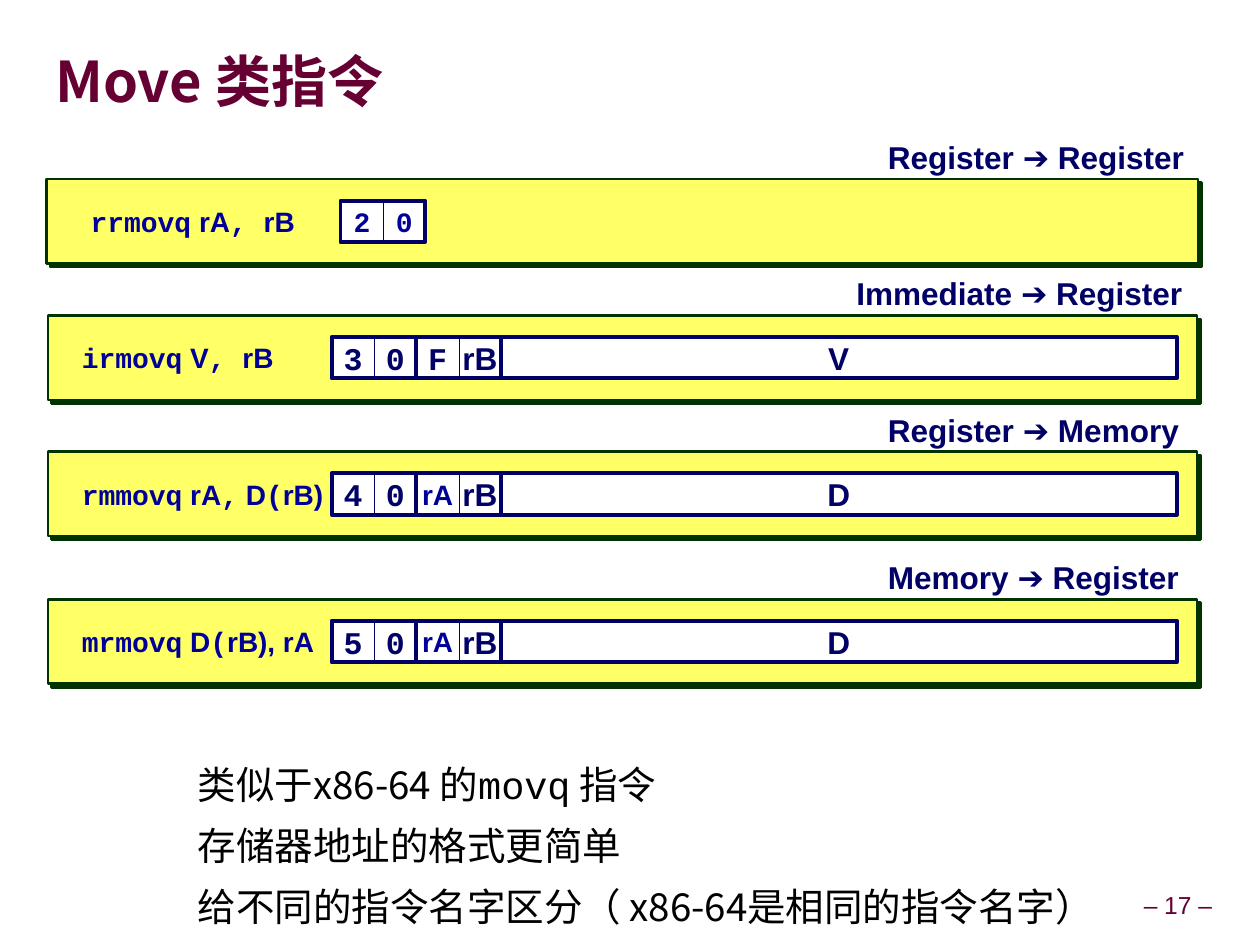
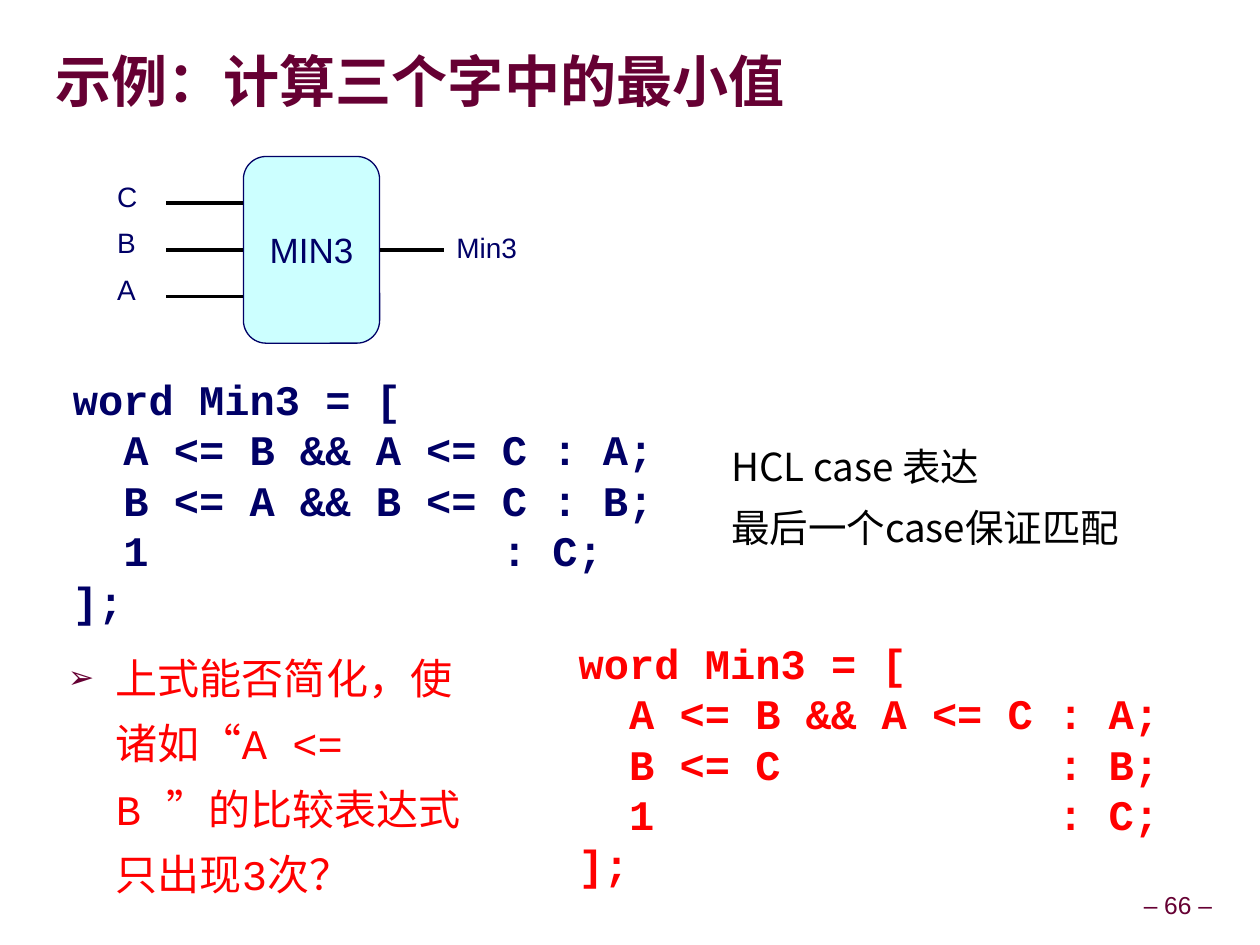
from lxml.etree import SubElement
from pptx import Presentation
from pptx.dml.color import RGBColor
from pptx.enum.shapes import MSO_CONNECTOR, MSO_SHAPE
from pptx.enum.text import MSO_ANCHOR, MSO_AUTO_SIZE, PP_ALIGN
from pptx.oxml.ns import qn
from pptx.util import Emu, Pt

PX = 9144  # 100 px to the inch
SANS, MONO, CJK = "Arial", "Courier New", "Noto Sans CJK SC"
MAROON, NAVY, BLUE, GREEN = "660033", "000066", "000099", "003300"
YELLOW, CYAN, WHITE, BLACK, RED = "FFFF66", "CCFFFF", "FFFFFF", "000000", "FF0000"
CELL = 33
BYTE = 67
OPCODE = dict(font=MONO, size=18, color=NAVY)
OPERAND = dict(font=SANS, size=18, color=NAVY)
SMALL_OPCODE = dict(font=MONO, size=16, color=BLUE)
SMALL_OPERAND = dict(font=SANS, size=16, color=BLUE)
BODY = dict(font=CJK, size=22, color=BLACK, spacing=1.2, before=3, indent=55)


def px(n):
    return Emu(int(n * PX))


def rgb(value):
    return RGBColor.from_string(value)


def add_bullet(p, char, color, percent):
    pPr = p._p.get_or_add_pPr()
    pPr.set("indent", str(-int(pPr.get("marL"))))
    SubElement(SubElement(pPr, qn("a:buClr")), qn("a:srgbClr"), val=color)
    SubElement(pPr, qn("a:buSzPct"), val=str(percent * 1000))
    SubElement(pPr, qn("a:buFont"), typeface=SANS)
    SubElement(pPr, qn("a:buChar"), char=char)


def add_run(p, text, font, size, color, bold):
    r = p.add_run()
    r.text = text
    r.font.size, r.font.bold = Pt(size), bold
    r.font.color.rgb = rgb(color)
    r.font.name = font
    SubElement(r._r.get_or_add_rPr(), qn("a:ea"), typeface=CJK)


def write(shape, paragraphs, font=SANS, size=16, color=NAVY, bold=False,
          align=PP_ALIGN.LEFT, anchor=MSO_ANCHOR.TOP, inset=(10, 5), wrap=False,
          grow=False, spacing=None, before=None, indent=0, bullet=None):
    """Fill a shape; a paragraph is a string or a list of (text, font) runs."""
    tf = shape.text_frame
    tf.word_wrap = wrap
    tf.auto_size = MSO_AUTO_SIZE.SHAPE_TO_FIT_TEXT if grow else MSO_AUTO_SIZE.NONE
    tf.vertical_anchor = anchor
    tf.margin_left = tf.margin_right = px(inset[0])
    tf.margin_top = tf.margin_bottom = px(inset[1])
    if isinstance(paragraphs, str):
        paragraphs = [paragraphs]
    for i, runs in enumerate(paragraphs):
        p = tf.add_paragraph() if i else tf.paragraphs[0]
        p.alignment = align
        if spacing:
            p.line_spacing = spacing
        if before:
            p.space_before = Pt(before)
        if indent:
            p._p.get_or_add_pPr().set("marL", str(px(indent)))
        if bullet:
            add_bullet(p, bullet, MAROON, 75)
        for text, face in [(runs, font)] if isinstance(runs, str) else runs:
            add_run(p, text, face, size, color, bold)


def text_box(s, x, y, w, h, paragraphs, **fmt):
    write(s.shapes.add_textbox(px(x), px(y), px(w), px(h)), paragraphs, **fmt)


def box(s, x, y, w, h, fill, line, width, kind=MSO_SHAPE.RECTANGLE):
    sp = s.shapes.add_shape(kind, px(x), px(y), px(w), px(h))
    sp.shadow.inherit = False
    if fill:
        sp.fill.solid()
        sp.fill.fore_color.rgb = rgb(fill)
    else:
        sp.fill.background()
    sp.line.color.rgb = rgb(line)
    sp.line.width = Pt(width)
    return sp


def hard_shadow(sp, color):
    effects = sp._element.spPr.find(qn("a:effectLst"))
    shadow = SubElement(effects, qn("a:outerShdw"), blurRad="0", dist=str(Pt(2.8)),
                        dir="2700000", algn="ctr", rotWithShape="0")
    SubElement(shadow, qn("a:srgbClr"), val=color)


def wire(s, x1, x2, y):
    c = s.shapes.add_connector(MSO_CONNECTOR.STRAIGHT, px(x1), px(y), px(x2), px(y))
    c.line.color.rgb = rgb(BLACK)
    c.line.width = Pt(2.25)
    SubElement(c._element.spPr, qn("a:effectLst"))
    return c


def new_slide(prs, title, number):
    s = prs.slides.add_slide(prs.slide_layouts[6])
    text_box(s, 44, 27, 930, 81, title, font=CJK, size=32, color=MAROON, bold=True,
             anchor=MSO_ANCHOR.MIDDLE, inset=(0, 0), wrap=True, spacing=0.87)
    text_box(s, 901, 703, 66, 31, f"– {number} –", size=14, color=MAROON,
             align=PP_ALIGN.CENTER, anchor=MSO_ANCHOR.MIDDLE, inset=(5, 5),
             grow=True, spacing=0.9)
    return s


def field(s, x, y, w, text, fmt, line=0.5):
    write(box(s, x, y, w, CELL, WHITE, NAVY, line), text, bold=True,
          align=PP_ALIGN.CENTER, anchor=MSO_ANCHOR.MIDDLE, **fmt)


def byte(s, x, y, high, low):
    """Two touching half-byte fields in one heavy frame."""
    field(s, x, y, BYTE - CELL, *high)
    field(s, x + BYTE - CELL, y, CELL, *low)
    box(s, x, y, BYTE, CELL, None, NAVY, 2.25)


def instruction(s, x, y, w, caption, caption_x, caption_w, syntax, syntax_dx,
                bytes_dx, encoding, constant=None):
    """One yellow band: caption above, syntax at the left, encoding in fields."""
    hard_shadow(box(s, x, y, w, 67, YELLOW, GREEN, 1.5), GREEN)
    text_box(s, caption_x, y - 34, caption_w, 38, caption, size=18, bold=True,
             inset=(5, 5), grow=True, spacing=0.9)
    top = y + 17
    text_box(s, x + syntax_dx, top, 208, CELL, [syntax], color=BLUE, bold=True,
             anchor=MSO_ANCHOR.MIDDLE)
    for i, halves in enumerate(encoding):
        byte(s, x + bytes_dx + i * BYTE, top, *halves)
    if constant:
        field(s, x + bytes_dx + 2 * BYTE, top, 536, constant, OPERAND, 2.25)


def min3_gate(s, x, y, w, h):
    """The MIN3 block with its input and output wires."""
    gate = box(s, x, y, w, h, CYAN, NAVY, 0.75, MSO_SHAPE.ROUNDED_RECTANGLE)
    write(gate, "MIN3", size=20, align=PP_ALIGN.CENTER, anchor=MSO_ANCHOR.MIDDLE)
    for i, name in enumerate("CBA", 1):
        level = y + h * i // 4
        c = wire(s, x - 61, x, level)
        if name == "B":
            c.end_connect(gate, 1)
        text_box(s, x - 110, level - 24, 51, 54, name, grow=True)
    wire(s, x + w, x + w + 51, y + h // 2).begin_connect(gate, 3)
    text_box(s, x + w + 51, y + h // 2 - 20, 100, 54, "Min3", grow=True)


def code(s, x, y, lines, color):
    text_box(s, x, y, 502, 212, lines, font=MONO, size=24, color=color, bold=True,
             wrap=True, grow=True)


def move_slide(prs):
    s = new_slide(prs, "Move 类指令", 17)
    text_box(s, 92, 591, 842, 138, [
        [("类似于x86-64 的", CJK), ("movq", MONO), (" 指令", CJK)],
        "存储器地址的格式更简单",
        "给不同的指令名字区分（ x86-64是相同的指令名字）",
    ], wrap=True, **BODY)
    instruction(s, 37, 142, 913, "Register ➔ Register", 699, 253,
                [("rrmovq", MONO), (" rA", SANS), (", ", MONO), ("rB", SANS)], 25, 233,
                [[("2", SMALL_OPCODE), ("0", SMALL_OPCODE)]])
    register_b = ("rB", OPERAND)
    registers = [("rA", SMALL_OPERAND), register_b]
    rows = [
        (250, "Immediate ➔ Register", 674, 277,
         [("irmovq", MONO), (" V", SANS), (", ", MONO), ("rB", SANS)],
         "3", [("F", OPCODE), register_b], "V"),
        (358, "Register ➔ Memory", 699, 249,
         [("rmmovq", MONO), (" rA", SANS), (",", MONO), (" D", SANS), ("(", MONO),
          ("rB)", SANS)], "4", registers, "D"),
        (475, "Memory ➔ Register", 699, 249,
         [("mrmovq", MONO), (" D", SANS), ("(", MONO), ("rB), rA", SANS)],
         "5", registers, "D"),
    ]
    for y, caption, caption_x, caption_w, syntax, digit, operands, constant in rows:
        instruction(s, 38, y, 911, caption, caption_x, caption_w, syntax, 17, 225,
                    [[(digit, OPCODE), ("0", OPCODE)], operands], constant)


def min3_slide(prs):
    s = new_slide(prs, "示例：计算三个字中的最小值", 66)
    text_box(s, 515, 339, 424, 133, ["HCL case 表达", "最后一个case保证匹配"],
             wrap=True, **BODY)
    min3_gate(s, 193, 124, 108, 148)
    code(s, 48, 291, ["word Min3 = [",
                      "  A <= B && A <= C : A;",
                      "  B <= A && B <= C : B;",
                      "  1              : C;",
                      "];"], NAVY)
    text_box(s, 44, 500, 355, 156,
             [[("上式能否简化，使诸如“", CJK), ("A <= B ”的比较表达式只出现3次？", MONO)]],
             size=24, color=RED, wrap=True, spacing=1.3, before=3, indent=38, bullet="➢")
    code(s, 449, 500, ["word Min3 = [",
                       "  A <= B && A <= C : A;",
                       "  B <= C           : B;",
                       "  1                : C;",
                       "];"], RED)


def main():
    prs = Presentation()
    prs.slide_width, prs.slide_height = px(999), px(749)
    move_slide(prs)
    min3_slide(prs)
    prs.save("out.pptx")


if __name__ == "__main__":
    main()
